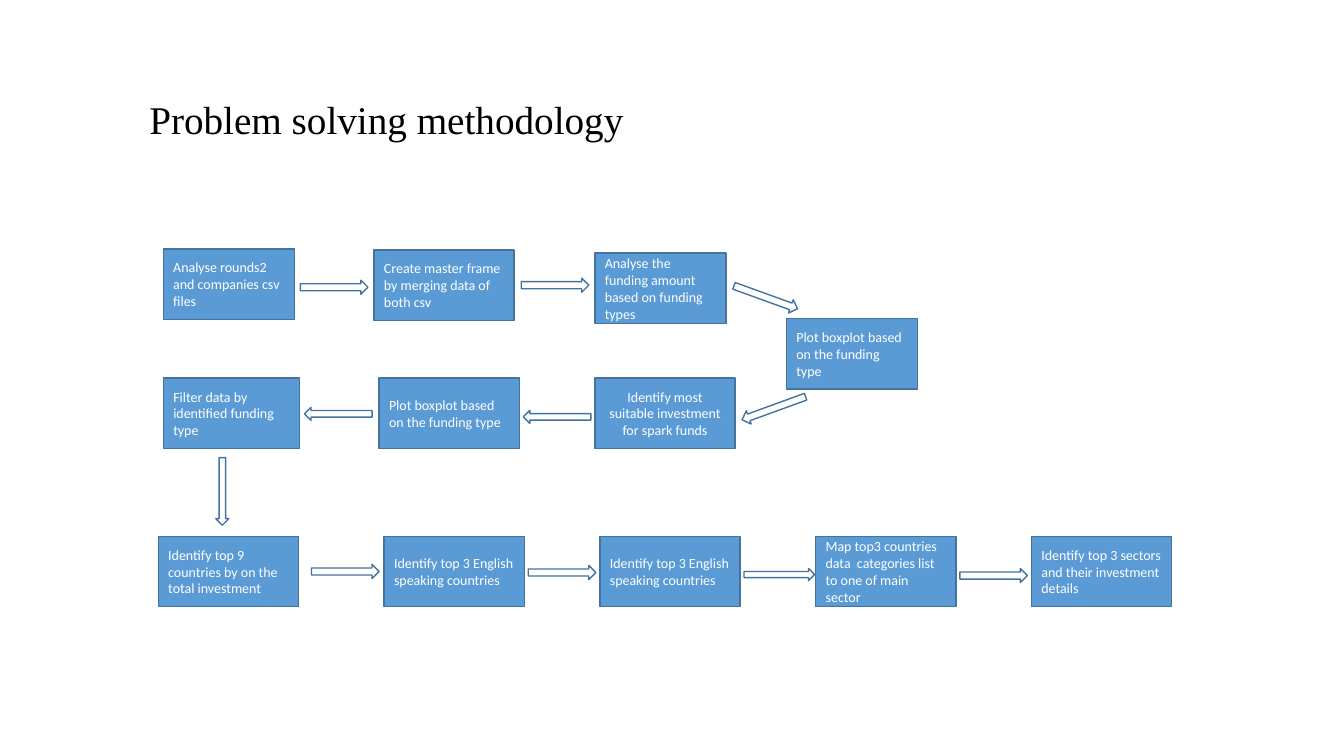
from dataclasses import dataclass

from pptx import Presentation
from pptx.dml.color import RGBColor
from pptx.enum.shapes import MSO_SHAPE
from pptx.enum.text import MSO_ANCHOR, MSO_AUTO_SIZE, PP_ALIGN
from pptx.util import Inches, Pt

RECTANGLE = MSO_SHAPE.RECTANGLE
RIGHT_ARROW = MSO_SHAPE.RIGHT_ARROW
MIDDLE = MSO_ANCHOR.MIDDLE
NO_AUTO_SIZE = MSO_AUTO_SIZE.NONE
LEFT, CENTER = PP_ALIGN.LEFT, PP_ALIGN.CENTER


@dataclass(frozen=True)
class Theme:
    step_fill: RGBColor = RGBColor(0x5B, 0x9B, 0xD5)
    outline: RGBColor = RGBColor(0x43, 0x73, 0x9E)
    white: RGBColor = RGBColor(0xFF, 0xFF, 0xFF)
    black: RGBColor = RGBColor(0x00, 0x00, 0x00)
    title_font: str = "Times New Roman"
    body_font: str = "Calibri"
    title_size: int = 28
    body_size: int = 10
    line_width: int = 1


class FlowSlide:
    """Draws the title, steps and arrows of one slide in one style."""

    def __init__(self, slide, theme):
        self.slide = slide
        self.theme = theme

    def format_text(self, shape, text, font_name, size, color, alignment):
        text_frame = shape.text_frame
        text_frame.text = text
        text_frame.word_wrap = True
        text_frame.auto_size = NO_AUTO_SIZE
        text_frame.vertical_anchor = MIDDLE
        paragraph = text_frame.paragraphs[0]
        paragraph.alignment = alignment
        font = paragraph.runs[0].font
        font.name = font_name
        font.size = Pt(size)
        font.color.rgb = color

    def title(self, text, left, top, width, height):
        shape = self.slide.shapes.title
        shape.left, shape.top = Inches(left), Inches(top)
        shape.width, shape.height = Inches(width), Inches(height)
        self.format_text(shape, text, self.theme.title_font,
                         self.theme.title_size, self.theme.black, LEFT)
        shape.text_frame.margin_left = Inches(0.24)
        shape.text_frame.margin_top = Inches(0.13)
        shape.text_frame.paragraphs[0].line_spacing = 0.9

    def outlined_shape(self, kind, left, top, width, height, fill):
        shape = self.slide.shapes.add_shape(
            kind, Inches(left), Inches(top), Inches(width), Inches(height))
        shape.shadow.inherit = False
        shape.fill.solid()
        shape.fill.fore_color.rgb = fill
        shape.line.color.rgb = self.theme.outline
        shape.line.width = Pt(self.theme.line_width)
        return shape

    def step(self, text, left, top, width=1.39, alignment=LEFT):
        shape = self.outlined_shape(RECTANGLE, left, top, width, 0.7,
                                    self.theme.step_fill)
        self.format_text(shape, text, self.theme.body_font,
                         self.theme.body_size, self.theme.white, alignment)

    def arrow(self, left, top, rotation=0, width=0.67, height=0.14):
        shape = self.outlined_shape(RIGHT_ARROW, left, top, width, height,
                                    self.theme.white)
        shape.rotation = rotation


def main():
    presentation = Presentation()
    presentation.slide_width = Inches(13.33)
    presentation.slide_height = Inches(7.5)
    title_only = presentation.slide_layouts[5]
    flow = FlowSlide(presentation.slides.add_slide(title_only), Theme())
    flow.title("Problem solving methodology", 1.24, 0.7, 10.19, 0.94)

    # Top row and the turn at its right end
    flow.step("Analyse rounds2 and companies csv files", 1.62, 2.47, 1.3)
    flow.step("Create master frame by merging data of both csv", 3.71, 2.48)
    flow.step("Analyse the funding amount based on funding types",
              5.9, 2.51, 1.3)
    boxplot_text = "Plot boxplot based on the funding type"
    flow.step(boxplot_text, 7.8, 3.16, 1.3)

    # Middle row, read from right to left
    middle_top = 3.75
    flow.step("Identify most suitable investment for spark funds",
              5.9, middle_top, alignment=CENTER)
    flow.step(boxplot_text, 3.76, middle_top)
    flow.step("Filter data by identified funding type",
              1.62, middle_top, 1.35)

    # Bottom row: the first step, then four evenly spaced ones
    bottom_top = 5.32
    flow.step("Identify top 9 countries by on the total investment",
              1.57, bottom_top)
    english_text = "Identify top 3 English speaking countries"
    later_steps = (
        english_text,
        english_text,
        "Map top3 countries data  categories list to one of main sector",
        "Identify top 3 sectors and their investment details",
    )
    for index, text in enumerate(later_steps):
        flow.step(text, 3.81 + 2.14 * index, bottom_top)

    # Arrows in reading order
    flow.arrow(2.98, 2.78)
    flow.arrow(5.17, 2.76)
    flow.arrow(7.26, 2.88, rotation=19.9)
    flow.arrow(7.34, 3.98, rotation=160)
    flow.arrow(5.19, 4.07, rotation=180, height=0.13)
    flow.arrow(3.02, 4.04, rotation=180, height=0.13)
    flow.arrow(1.87, 4.81, rotation=90, height=0.13)
    flow.arrow(3.09, 5.6)
    flow.arrow(5.24, 5.61)
    flow.arrow(7.38, 5.64, width=0.7, height=0.12)
    flow.arrow(9.52, 5.64)

    presentation.save("out.pptx")


if __name__ == "__main__":
    main()
